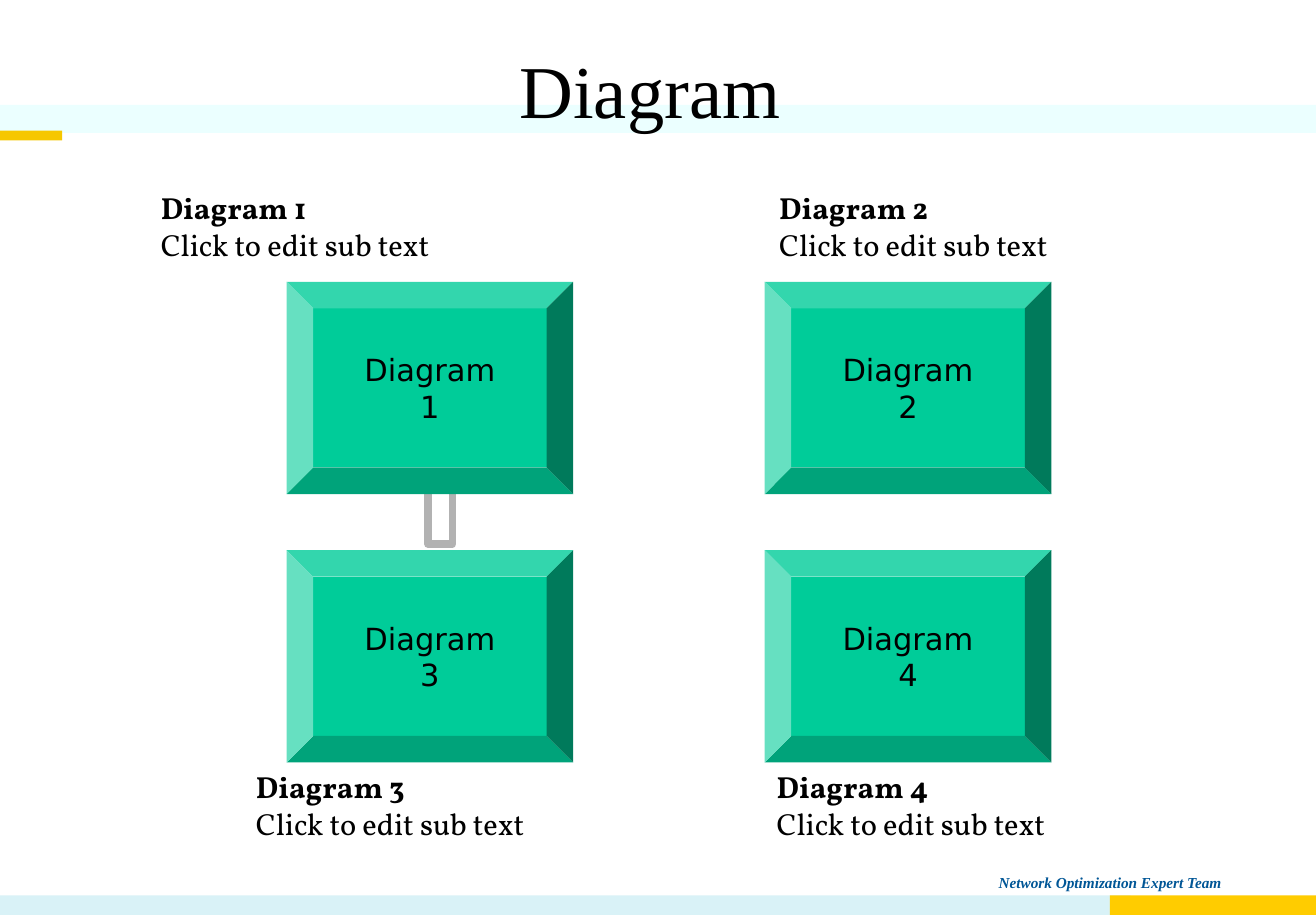
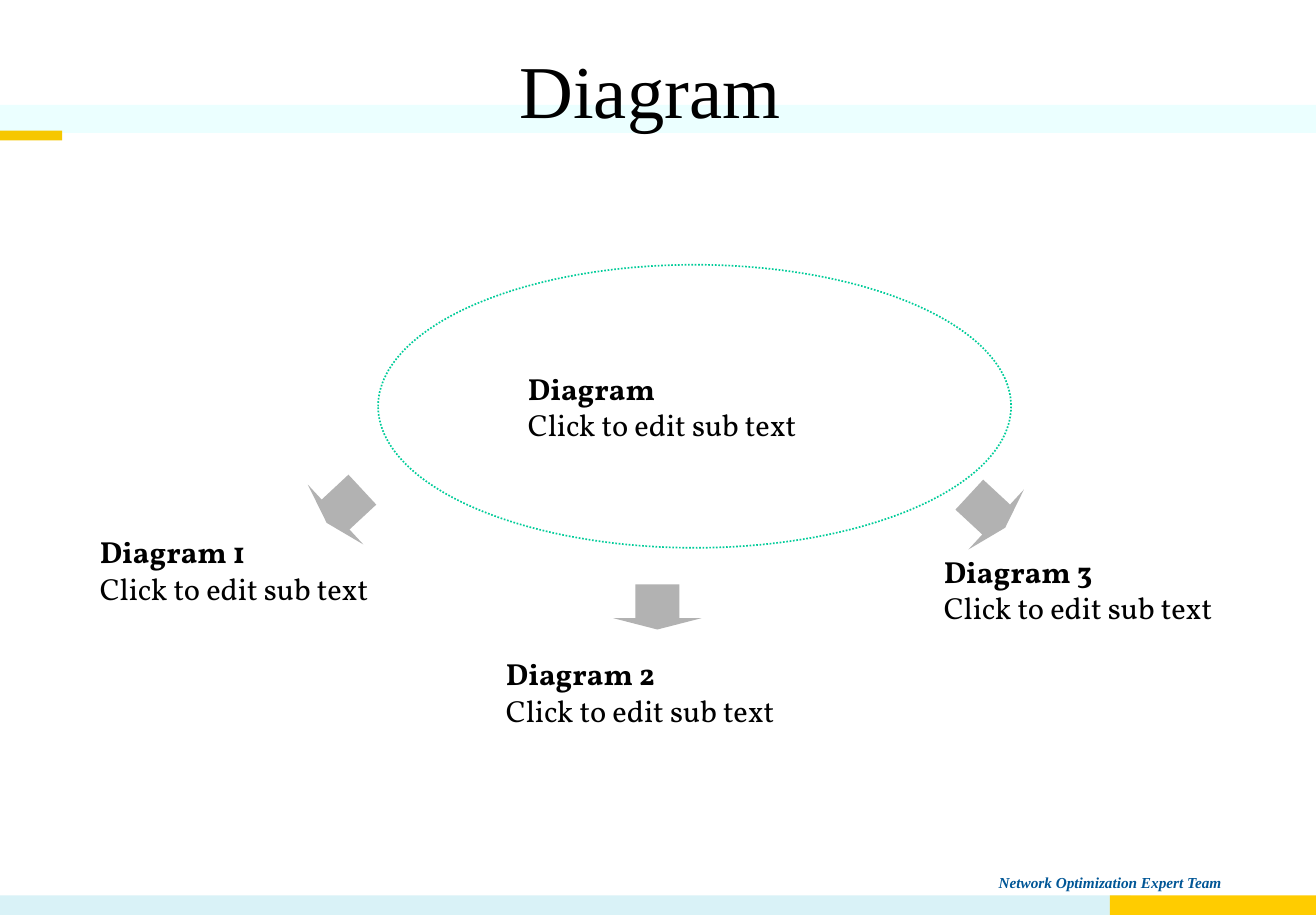
from dataclasses import dataclass
from typing import Optional

from pptx import Presentation
from pptx import util as u
from pptx.dml.color import RGBColor
from pptx.enum import dml, shapes, text

WIDTH, HEIGHT = 10.79, 7.5
SERIF, SANS, BODY = "Times New Roman", "DejaVu Sans", "Vollkorn"
BLACK, GREEN, GREY, NAVY = "000000", "00CC99", "B2B2B2", "005696"
SUB_TEXT = "Click to edit sub text"
SHAPE = shapes.MSO_SHAPE


@dataclass(frozen=True)
class Box:
    left: float
    top: float
    width: float
    height: float

    def lengths(self) -> tuple:
        return tuple(u.Inches(v) for v in (self.left, self.top, self.width, self.height))


@dataclass(frozen=True)
class Band:
    box: Box
    colour: str


@dataclass(frozen=True)
class Caption:
    heading: str
    left: float
    top: float
    width: float = 2.7


@dataclass(frozen=True)
class Arrow:
    box: Box
    rotation: float = 0


BANDS = [
    Band(Box(0, 0.86, WIDTH, 0.23), "EBFFFF"),
    Band(Box(0, 7.34, 9.27, 0.16), "D9F2F7"),
    Band(Box(9.1, 7.34, 1.69, 0.16), "FFCC00"),
    Band(Box(0, 1.07, 0.51, 0.08), "F6C700"),
]
GRID_CAPTIONS = [
    Caption("Diagram 1", 1.22, 1.5, 3.42),
    Caption("Diagram 2", 6.29, 1.5, 3.42),
    Caption("Diagram 3", 2, 6.25),
    Caption("Diagram 4", 6.27, 6.25),
]
ELLIPSE_CAPTIONS = [
    Caption("Diagram", 4.23, 2.98, 3.42),
    Caption("Diagram 1", 0.72, 4.32),
    Caption("Diagram 2", 4.05, 5.32),
    Caption("Diagram 3", 7.64, 4.48),
]
ARROWS = [
    Arrow(Box(2.49, 3.95, 0.67, 0.4), 47.1),
    Arrow(Box(5.03, 4.79, 0.72, 0.37)),
    Arrow(Box(7.76, 3.99, 0.67, 0.4), 312.8),
]


def rgb(colour: str) -> RGBColor:
    return RGBColor.from_string(colour)


def style(p, font: str, size: float, colour: str = BLACK,
          bold: bool = False, italic: bool = False) -> None:
    for r in p.runs:
        r.font.name, r.font.size = font, u.Pt(size)
        r.font.bold, r.font.italic = bold, italic
        r.font.color.rgb = rgb(colour)


def add_shape(s, kind, box: Box, fill: Optional[str] = None,
              line: Optional[str] = None, weight: float = 1):
    sp = s.shapes.add_shape(kind, *box.lengths())
    sp.shadow.inherit = False
    if fill:
        sp.fill.solid()
        sp.fill.fore_color.rgb = rgb(fill)
    else:
        sp.fill.background()
    if line:
        sp.line.color.rgb = rgb(line)
        sp.line.width = u.Pt(weight)
    else:
        sp.line.fill.background()
    return sp


def add_text(s, box: Box, words: str):
    sp = s.shapes.add_textbox(*box.lengths())
    tf = sp.text_frame
    tf.word_wrap = True
    tf.text = words
    return sp


def add_caption(s, caption: Caption) -> None:
    box = Box(caption.left, caption.top, caption.width, 0.94)
    sp = add_text(s, box, f"{caption.heading}\n{SUB_TEXT}")
    heading, sub = sp.text_frame.paragraphs
    style(heading, BODY, 18, bold=True)
    style(sub, BODY, 18)


def add_bevel(s, box: Box, number: int) -> None:
    sp = add_shape(s, SHAPE.BEVEL, box, GREEN)
    tf = sp.text_frame
    tf.text = f"Diagram\n{number}"
    tf.vertical_anchor = text.MSO_ANCHOR.MIDDLE
    for p in tf.paragraphs:
        p.alignment = text.PP_ALIGN.CENTER
        style(p, SANS, 18)


def add_arrow(s, arrow: Arrow) -> None:
    sp = add_shape(s, SHAPE.DOWN_ARROW, arrow.box, GREY)
    sp.adjustments[0], sp.adjustments[1] = 0.5, 0.25
    sp.rotation = arrow.rotation


def furnish_layout(layout, s) -> None:
    """Draw the bands and footer on a slide, then move them to its layout."""
    tree = layout.shapes.element
    for ph in list(layout.placeholders):
        if ph.placeholder_format.type != shapes.PP_PLACEHOLDER.TITLE:
            tree.remove(ph.element)
    footer = add_text(s, Box(8.09, 7.11, 2.87, 0.25), "Network Optimization Expert Team")
    style(footer.text_frame.paragraphs[0], SERIF, 9, NAVY, bold=True, italic=True)
    bands = [add_shape(s, SHAPE.RECTANGLE, b.box, b.colour) for b in BANDS]
    for sp in [footer, *bands]:
        tree.append(sp.element)


def set_title(s, words: str) -> None:
    title = s.shapes.title
    title.left, title.top, title.width, title.height = Box(0.41, 0.23, 9.84, 0.67).lengths()
    tf = title.text_frame
    tf.text = words
    tf.auto_size = text.MSO_AUTO_SIZE.NONE
    tf.vertical_anchor = text.MSO_ANCHOR.TOP
    tf.margin_top = u.Inches(0.13)
    p = tf.paragraphs[0]
    p.alignment = text.PP_ALIGN.CENTER
    style(p, SERIF, 44)


def build_grid(s) -> None:
    set_title(s, "Diagram")
    add_shape(s, SHAPE.RECTANGLE, Box(3.51, 3.96, 0.2, 0.5), line=GREY, weight=4.5)
    for i in range(4):
        row, col = divmod(i, 2)
        add_bevel(s, Box(2.35 + 3.92 * col, 2.31 + 2.2 * row, 2.35, 1.74), i + 1)
    for caption in GRID_CAPTIONS:
        add_caption(s, caption)


def build_ellipse(s) -> None:
    set_title(s, "Diagram")
    ellipse = add_shape(s, SHAPE.OVAL, Box(3.1, 2.17, 5.19, 2.32), line=GREEN)
    ellipse.line.dash_style = dml.MSO_LINE.ROUND_DOT
    for caption in ELLIPSE_CAPTIONS:
        add_caption(s, caption)
    for arrow in ARROWS:
        add_arrow(s, arrow)


def main() -> None:
    prs = Presentation()
    prs.slide_width, prs.slide_height = u.Inches(WIDTH), u.Inches(HEIGHT)
    layout = prs.slide_layouts.get_by_name("Title Only")
    grid, ellipse = (prs.slides.add_slide(layout) for _ in range(2))
    furnish_layout(layout, grid)
    build_grid(grid)
    build_ellipse(ellipse)
    prs.save("out.pptx")


if __name__ == "__main__":
    main()
